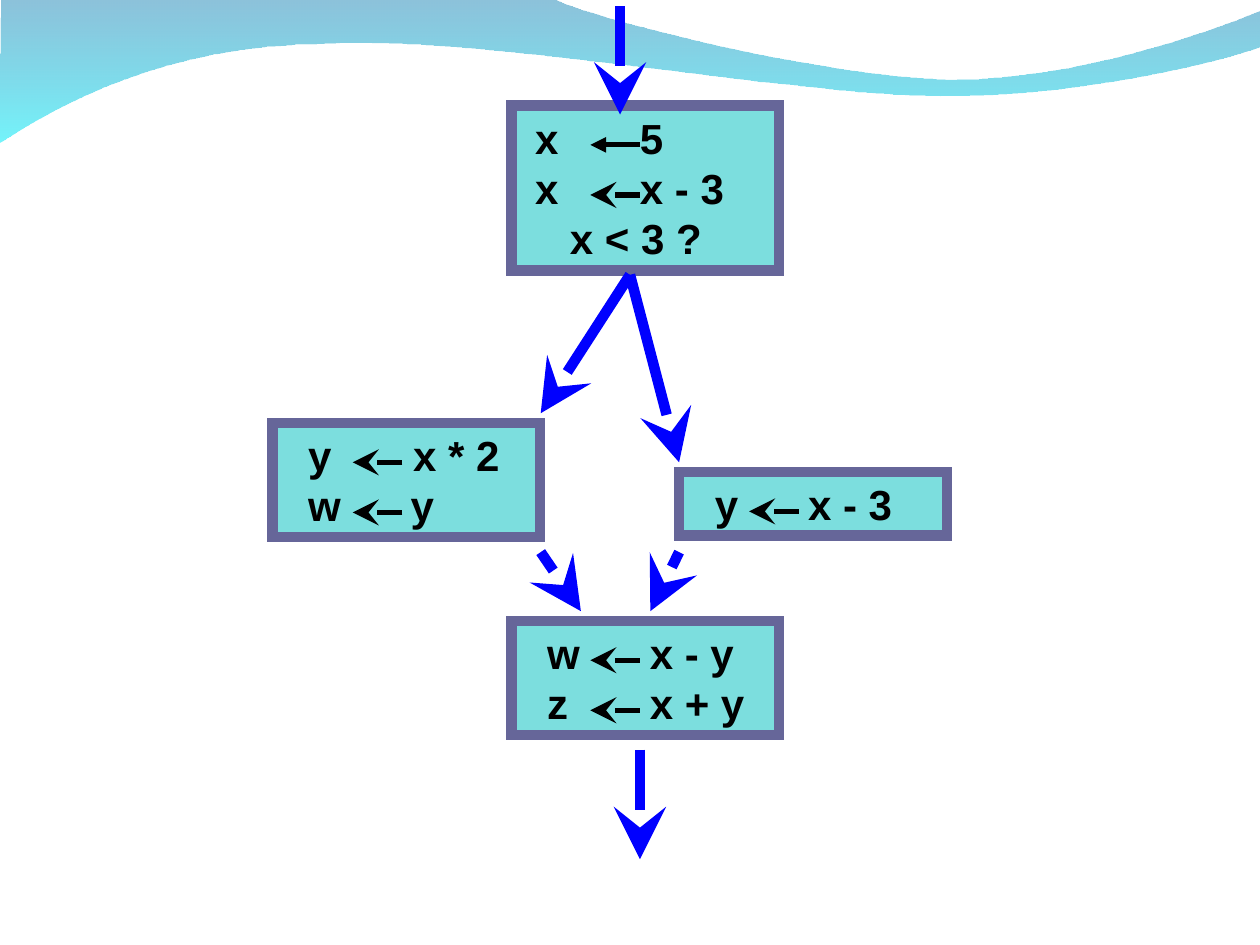
from dataclasses import dataclass
from typing import NamedTuple

from lxml.etree import SubElement
from pptx import Presentation
from pptx.dml.color import RGBColor
from pptx.enum.shapes import MSO_CONNECTOR, MSO_SHAPE
from pptx.enum.text import MSO_ANCHOR, PP_ALIGN
from pptx.oxml.ns import qn
from pptx.util import Cm, Pt


@dataclass(frozen=True)
class Theme:
    font: str = "Arial"
    size: float = 24
    lead: float = 28.8
    ink: str = "000000"
    fill: str = "33CCCC"
    alpha: int = 64
    edge: str = "666699"
    flow: str = "0000FF"
    thick: float = 6
    thin: float = 3
    wave: tuple = (("0079AF", 45), ("00EBF8", 55))


class Head(NamedTuple):
    kind: str = "stealth"
    size: str = "lg"


class Row(NamedTuple):
    text: str
    tab: float = 0
    indent: float = 0
    head: Head = Head()


class Box(NamedTuple):
    left: float
    top: float
    inset: float
    arrow: float
    rows: tuple


class Link(NamedTuple):
    x1: float
    y1: float
    x2: float
    y2: float


THEME = Theme()
WIDTH, ROW, PAD = 5.4, 1.02, 0.13
ARROW_TOP, ARROW_LEN, ARROW_STEP = 0.79, 1, 1.01

BOXES = (
    Box(10.31, 2.13, 0.48, 2.59, (
        Row("x\t5", 2.11, head=Head("triangle", "med")),
        Row("x\tx - 3", 2.11),
        Row("x < 3 ?", indent=0.7))),
    Box(5.49, 8.53, 0.72, 2.62, (Row("y\tx * 2", 2.12), Row("w\ty", 2.07))),
    Box(13.69, 9.52, 0.72, 2.41, (Row("y\tx - 3", 1.88),)),
    Box(10.31, 12.52, 0.72, 2.59, (Row("w\tx - y", 2.07), Row("z\tx + y", 2.07))),
)

LINKS = (
    Link(12.7, 5.54, 10.9, 8.33),
    Link(12.7, 5.54, 13.69, 9.32),
    Link(13.69, 11.13, 13.11, 12.32),
    Link(10.9, 11.13, 11.71, 12.32),
    Link(12.9, 15.11, 12.9, 17.32),
    Link(12.5, 0.13, 12.5, 2.31),
)

# Each step is one corner, or two control points and an end point.
WAVE = (
    ((0.03, 0),),
    ((11.2, 0),),
    ((12.09, 0.43), (16.87, 1.6), (19.28, 1.6)),
    ((21.67, 1.6), (24.33, 0.66), (25.4, 0.23)),
    ((25.43, 0.94),),
    ((24.97, 1.12), (22.1, 1.93), (18.95, 1.93)),
    ((15.8, 1.91), (9.7, 0.71), (6.55, 0.89)),
    ((3.3, 0.91), (1.19, 2.11), (0, 2.87)),
)


def fade(node, alpha: int) -> None:
    """Set the opacity, in percent, of the colour in a fill node."""
    color = next(node.iter(qn("a:srgbClr")))
    SubElement(color, qn("a:alpha"), val=str(alpha * 1000))


def bend(shape, steps: tuple) -> None:
    """Turn the line segments of each three-point step into one cubic curve."""
    lines = list(shape._element.spPr.iter(qn("a:lnTo")))
    for step in steps:
        part, lines = lines[:len(step)], lines[len(step):]
        if len(step) == 3:
            cubic = SubElement(part[0].getparent(), qn("a:cubicBezTo"))
            part[0].addprevious(cubic)
            for line in part:
                cubic.append(line[0])
                line.getparent().remove(line)


def draw_wave(slide) -> None:
    spots = [(Cm(x), Cm(y)) for step in WAVE for x, y in step]
    path = slide.shapes.build_freeform(*spots[0])
    path.add_line_segments(spots[1:], close=False)
    path.add_line_segments(spots[:1], close=True)
    shape = path.convert_to_shape()
    bend(shape, WAVE[1:])
    shape.shadow.inherit = False
    shape.line.fill.background()
    shape.fill.gradient()
    shape.fill.gradient_angle = 270
    nodes = shape._element.spPr.iter(qn("a:gs"))
    for stop, node, (color, alpha) in zip(shape.fill.gradient_stops, nodes, THEME.wave):
        stop.color.rgb = RGBColor.from_string(color)
        fade(node, alpha)


def write(para, text: str, *, size: float = THEME.size, color: str = THEME.ink,
          bold: bool = True, tab: float = 0, indent: float = 0) -> None:
    para.alignment = PP_ALIGN.LEFT
    para.line_spacing = Pt(THEME.lead)
    props = para._p.get_or_add_pPr()
    if indent:
        props.set("marL", str(Cm(indent)))
        props.set("indent", "0")
    if tab:
        tabs = SubElement(props, qn("a:tabLst"))
        SubElement(tabs, qn("a:tab"), pos=str(Cm(tab)), algn="l")
    run = para.add_run()
    run.text = text
    run.font.name = THEME.font
    run.font.size = Pt(size)
    run.font.bold = bold
    run.font.color.rgb = RGBColor.from_string(color)


def draw_link(slide, link: Link, color: str, width: float, head: Head = Head()) -> None:
    line = slide.shapes.add_connector(MSO_CONNECTOR.STRAIGHT, *map(Cm, link))
    line.line.color.rgb = RGBColor.from_string(color)
    line.line.width = Pt(width)
    SubElement(line.line._get_or_add_ln(), qn("a:tailEnd"),
               type=head.kind, w=head.size, len=head.size)
    SubElement(line._element.spPr, qn("a:effectLst"))


def draw_box(slide, box: Box) -> None:
    """Draw a block of code with its assignment arrows."""
    height = len(box.rows) * ROW + 2 * PAD
    shape = slide.shapes.add_shape(
        MSO_SHAPE.RECTANGLE, Cm(box.left), Cm(box.top), Cm(WIDTH), Cm(height))
    shape.shadow.inherit = False
    shape.fill.solid()
    shape.fill.fore_color.rgb = RGBColor.from_string(THEME.fill)
    fade(shape._element.spPr.find(qn("a:solidFill")), THEME.alpha)
    shape.line.color.rgb = RGBColor.from_string(THEME.edge)
    shape.line.width = Pt(THEME.thick)
    SubElement(shape.line._get_or_add_ln(), qn("a:miter"), lim="800000")

    frame = shape.text_frame
    frame.word_wrap = True
    frame.vertical_anchor = MSO_ANCHOR.TOP
    frame.margin_left, frame.margin_right = Cm(box.inset), Cm(0.25)
    frame.margin_top = frame.margin_bottom = Cm(PAD)
    for i, row in enumerate(box.rows):
        para = frame.add_paragraph() if i else frame.paragraphs[0]
        write(para, row.text, tab=row.tab, indent=row.indent)
        if row.tab:
            x, y = box.left + box.arrow, box.top + ARROW_TOP + i * ARROW_STEP
            draw_link(slide, Link(x, y, x - ARROW_LEN, y), THEME.ink, THEME.thin, row.head)


def main() -> None:
    deck = Presentation()
    deck.slide_width, deck.slide_height = Cm(25.4), Cm(19.05)
    slide = deck.slides.add_slide(deck.slide_layouts[6])
    draw_wave(slide)
    for box in BOXES:
        draw_box(slide, box)
    for link in LINKS:
        draw_link(slide, link, THEME.flow, THEME.thick)
    deck.save("out.pptx")


if __name__ == "__main__":
    main()
